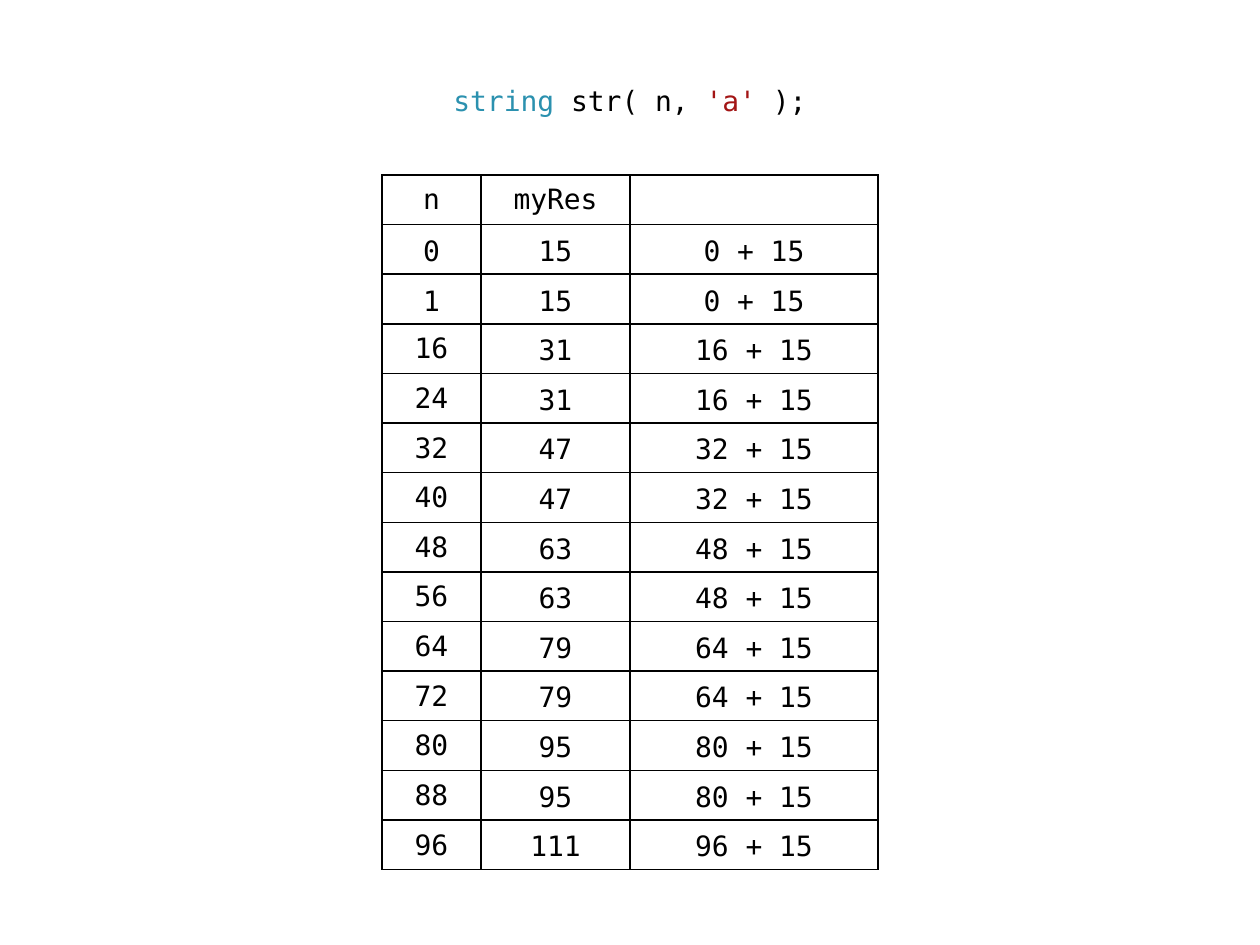
from dataclasses import dataclass

from lxml import etree
from pptx import Presentation
from pptx.dml.color import RGBColor
from pptx.enum.text import MSO_ANCHOR, PP_ALIGN
from pptx.oxml.ns import qn
from pptx.util import Pt

CENTER = PP_ALIGN.CENTER
MIDDLE = MSO_ANCHOR.MIDDLE
BOTTOM = MSO_ANCHOR.BOTTOM
BLANK_LAYOUT = 6


@dataclass(frozen=True)
class Theme:
    font: str = "DejaVu Sans Mono"
    size: float = 16
    ink: str = "000000"
    keyword: str = "2B91AF"
    literal: str = "A31515"
    border_width: float = 1


class SlideBuilder:
    def __init__(self, slide, theme):
        self.slide = slide
        self.theme = theme

    def style(self, paragraph):
        paragraph.alignment = CENTER
        paragraph.font.name = self.theme.font
        paragraph.font.size = Pt(self.theme.size)

    def code_line(self, left, top, width, height, tokens):
        frame = self.slide.shapes.add_textbox(
            Pt(left), Pt(top), Pt(width), Pt(height)).text_frame
        frame.word_wrap = True
        frame.vertical_anchor = MIDDLE
        line = frame.paragraphs[0]
        self.style(line)
        for text, color in tokens:
            token = line.add_run()
            token.text = text
            token.font.color.rgb = RGBColor.from_string(color)

    def border(self, cell):
        properties = cell._tc.get_or_add_tcPr()
        for side in ("a:lnL", "a:lnR", "a:lnT", "a:lnB"):
            edge = etree.SubElement(properties, qn(side),
                                    w=str(Pt(self.theme.border_width)))
            fill = etree.SubElement(edge, qn("a:solidFill"))
            etree.SubElement(fill, qn("a:srgbClr"), val=self.theme.ink)

    def cell(self, cell, text, anchor, tight):
        self.border(cell)
        cell.fill.background()
        cell.vertical_anchor = anchor
        if tight:
            cell.margin_left = cell.margin_right = cell.margin_top = Pt(0.75)
            cell.margin_bottom = Pt(0)
        cell.text = text
        entry = cell.text_frame.paragraphs[0]
        self.style(entry)
        entry.font.color.rgb = RGBColor.from_string(self.theme.ink)

    def table(self, left, top, widths, row_height, rows):
        table = self.slide.shapes.add_table(
            len(rows), len(widths), Pt(left), Pt(top),
            Pt(sum(widths)), Pt(row_height * len(rows))).table
        table.first_row = table.horz_banding = False
        for column, width in zip(table.columns, widths):
            column.width = Pt(width)
        for r, row in enumerate(rows):
            table.rows[r].height = Pt(row_height)
            for c, text in enumerate(row):
                tight = c == 0 and r > 2
                anchor = MIDDLE if r == 0 or tight else BOTTOM
                self.cell(table.cell(r, c), text, anchor, tight)


def capacity_row(n):
    block = n // 16 * 16
    return str(n), str(block + 15), f"{block} + 15"


def main():
    presentation = Presentation()
    presentation.slide_width = Pt(720)
    presentation.slide_height = Pt(540)
    theme = Theme()
    slide = presentation.slides.add_slide(
        presentation.slide_layouts[BLANK_LAYOUT])
    builder = SlideBuilder(slide, theme)

    builder.code_line(246.5, 43, 227, 28.35, [
        ("string ", theme.keyword),
        ("str( n, ", theme.ink),
        ("'a' ", theme.literal),
        (");", theme.ink),
    ])

    lengths = [0, 1, *range(16, 97, 8)]
    rows = [("n", "myRes", ""), *map(capacity_row, lengths)]
    builder.table(218.25, 100, [56.7, 85.05, 141.75], 28.35, rows)

    presentation.save("out.pptx")


if __name__ == "__main__":
    main()
